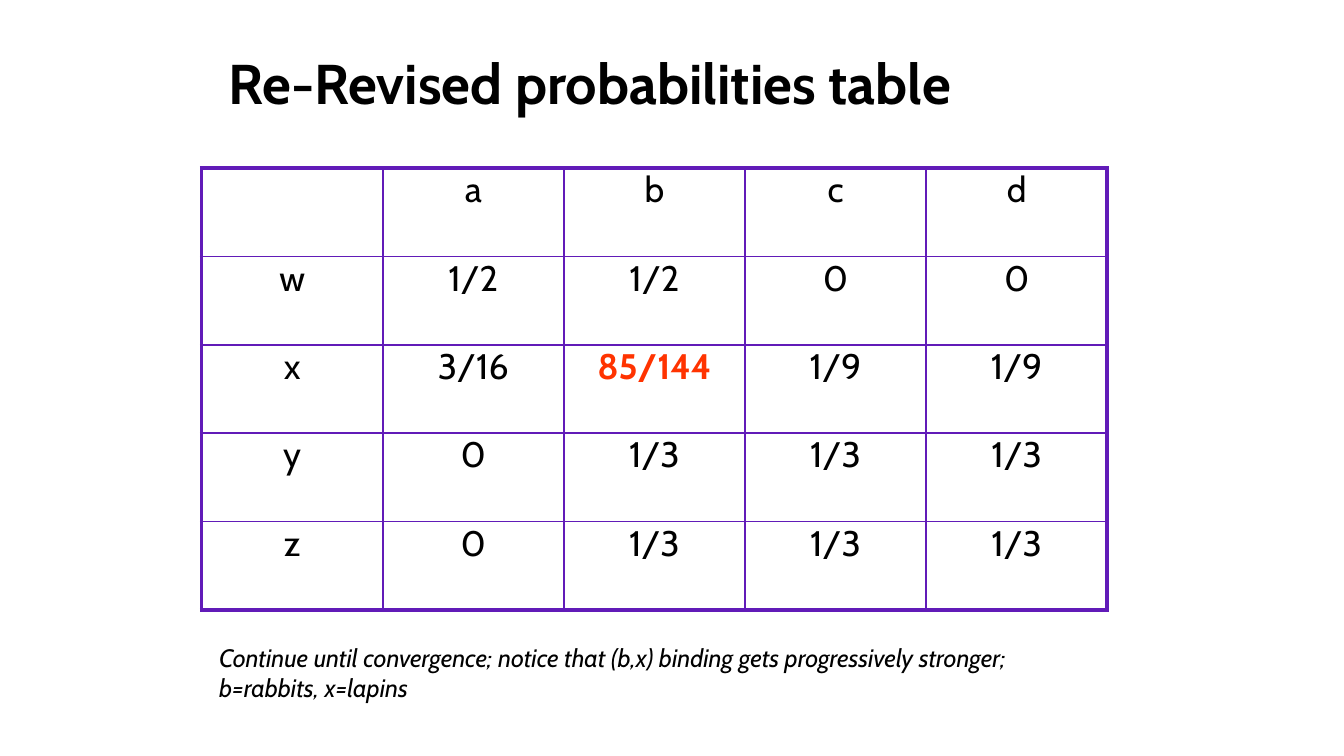
from lxml import etree
from pptx import Presentation
from pptx.dml.color import RGBColor
from pptx.enum.text import MSO_ANCHOR, PP_ALIGN
from pptx.oxml.ns import qn
from pptx.util import Inches, Pt

TOP = MSO_ANCHOR.TOP
CENTER = PP_ALIGN.CENTER
BLACK = RGBColor(0x00, 0x00, 0x00)
RED = RGBColor(0xFF, 0x33, 0x00)
PURPLE = RGBColor(0x61, 0x1B, 0xB8)
FONT = "Cabin"
BLANK_LAYOUT = 6
SLIDE_WIDTH = Inches(10)
SLIDE_HEIGHT = SLIDE_WIDTH * 9 // 16
INNER_LINE, OUTER_LINE = Pt(1), Pt(2.25)
HANGING = Inches(0.11)

TITLE = "Re-Revised probabilities table"
PROBABILITIES = [
    ["", "a", "b", "c", "d"],
    ["w", "1/2", "1/2", "0", "0"],
    ["x", "3/16", "85/144", "1/9", "1/9"],
    ["y", "0", "1/3", "1/3", "1/3"],
    ["z", "0", "1/3", "1/3", "1/3"],
]
STRONGEST = "85/144"
NOTE = [
    "Continue until convergence; notice that (b,x) binding gets progressively stronger;",
    "b=rabbits, x=lapins",
]


def apply_format(target, values):
    """Set every attribute named in values on target."""
    for attribute, value in values.items():
        setattr(target, attribute, value)


def style_font(font, size, color=BLACK, **extras):
    """Give a font its face, size, colour and any extra attributes."""
    apply_format(font, {"name": FONT, "size": Pt(size), **extras})
    font.color.rgb = color


def margins(side, end):
    """Return the margin values for the sides and the top and bottom."""
    return {
        "margin_left": Inches(side),
        "margin_right": Inches(side),
        "margin_top": Inches(end),
        "margin_bottom": Inches(end),
    }


def add_text(slide, place, lines, insets, size, **extras):
    """Add a text box with one paragraph for each line."""
    frame = slide.shapes.add_textbox(*map(Inches, place)).text_frame
    apply_format(frame, {"word_wrap": True, "vertical_anchor": TOP, **margins(*insets)})
    frame.text = "\n".join(lines)
    for paragraph in frame.paragraphs:
        style_font(paragraph.runs[0].font, size, **extras)


def add_border(cell, side, width):
    """Draw one side of a cell border."""
    line = etree.SubElement(cell._tc.get_or_add_tcPr(), qn(f"a:ln{side}"), w=str(width))
    fill = etree.SubElement(line, qn("a:solidFill"))
    etree.SubElement(fill, qn("a:srgbClr"), val=str(PURPLE))


def fill_cell(cell, value):
    """Write one value in a cell."""
    apply_format(cell, {"vertical_anchor": TOP, **margins(0.07, 0.03)})
    paragraph = cell.text_frame.paragraphs[0]
    apply_format(paragraph, {"alignment": CENTER, "line_spacing": 0.89, "space_after": Pt(14.2)})
    properties = paragraph._p.get_or_add_pPr()
    properties.set("marL", str(HANGING))
    properties.set("indent", str(-HANGING))
    strongest = value == STRONGEST
    color = RED if strongest else BLACK
    if value:
        run = paragraph.add_run()
        run.text = value
        style_font(run.font, 19, color, bold=strongest)


def add_probability_table(slide):
    """Add the table with thin inner lines and a thick outline."""
    row_count, column_count = len(PROBABILITIES), len(PROBABILITIES[0])
    place = map(Inches, (1.5, 1.25, 6.74, 3.29))
    table = slide.shapes.add_table(row_count, column_count, *place).table
    apply_format(table, {"first_row": False, "horz_banding": False})
    for r, values in enumerate(PROBABILITIES):
        for c, value in enumerate(values):
            cell = table.cell(r, c)
            fill_cell(cell, value)
            outer_sides = {
                "L": c == 0,
                "R": c == column_count - 1,
                "T": r == 0,
                "B": r == row_count - 1,
            }
            for side, is_outer in outer_sides.items():
                add_border(cell, side, OUTER_LINE if is_outer else INNER_LINE)
            cell.fill.background()


def main():
    """Build the slide and save it."""
    presentation = Presentation()
    apply_format(presentation, {"slide_width": SLIDE_WIDTH, "slide_height": SLIDE_HEIGHT})
    slide = presentation.slides.add_slide(presentation.slide_layouts[BLANK_LAYOUT])
    add_text(slide, (1.6, 0.26, 6.74, 0.93), [TITLE], (0.1, 0.1), 30, bold=True)
    add_probability_table(slide)
    add_text(slide, (1.56, 4.75, 6.46, 0.52), NOTE, (0.07, 0.03), 13.5, italic=True)
    presentation.save("out.pptx")


if __name__ == "__main__":
    main()
